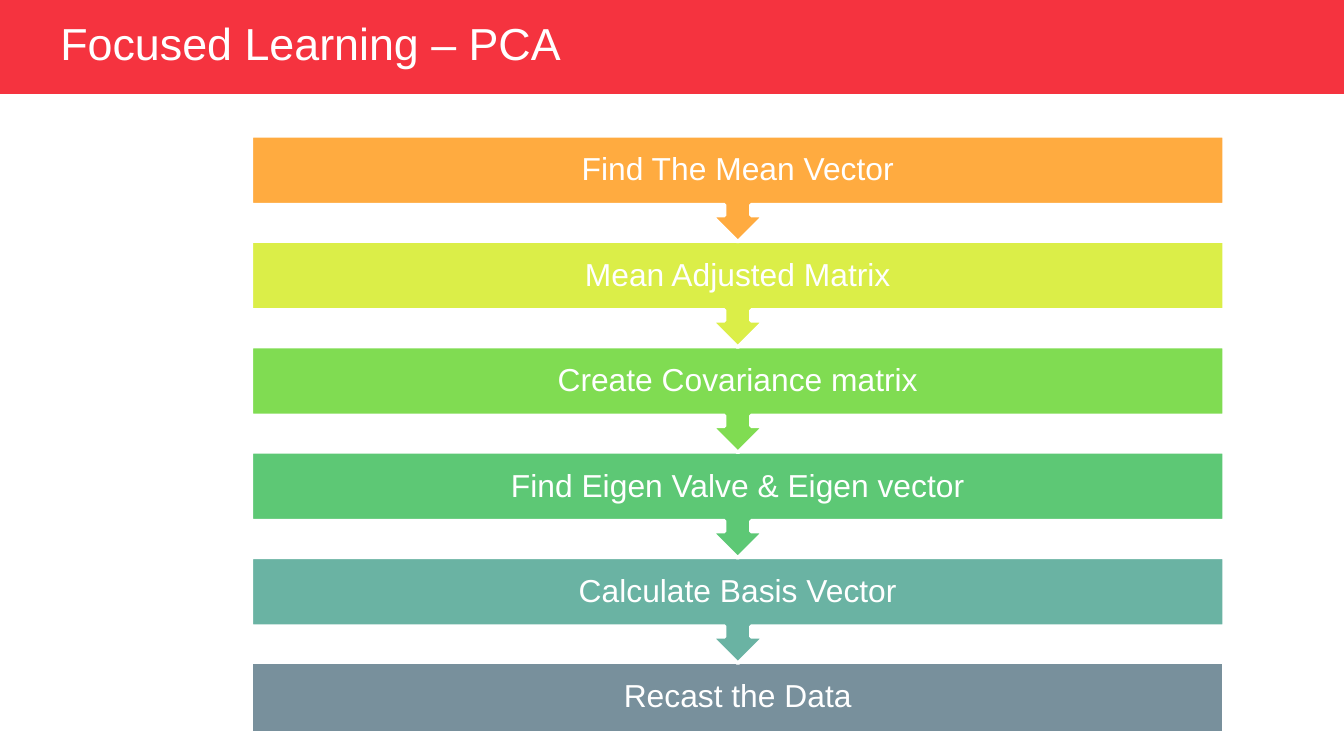
from pptx import Presentation
from pptx.dml.color import RGBColor
from pptx.enum import shapes, text
from pptx.util import Inches, Pt

WHITE = RGBColor(0xFF, 0xFF, 0xFF)
RED = RGBColor(0xF5, 0x33, 0x3F)
ORANGE = RGBColor(0xFF, 0xAB, 0x40)
LIME = RGBColor(0xDB, 0xEE, 0x48)
LIGHT_GREEN = RGBColor(0x80, 0xDC, 0x52)
GREEN = RGBColor(0x5D, 0xC8, 0x75)
TEAL = RGBColor(0x6A, 0xB3, 0xA3)
SLATE = RGBColor(0x78, 0x90, 0x9C)

# Content
TITLE = "Focused Learning – PCA"
STEPS = [
    ("Find The Mean Vector", ORANGE),
    ("Mean Adjusted Matrix", LIME),
    ("Create Covariance matrix", LIGHT_GREEN),
    ("Find Eigen Valve & Eigen vector", GREEN),
    ("Calculate Basis Vector", TEAL),
    ("Recast the Data", SLATE),
]

# Layout in inches: a 16:9 slide with one column of equally spaced steps
WIDTH = 10
HEIGHT = WIDTH * 9 / 16
HEADER_H = WIDTH * 0.07
STEP_X, STEP_W = 1.87, 7.24
FIRST_Y, LAST_Y = 1.01, 4.93
PITCH = (LAST_Y - FIRST_Y) / (len(STEPS) - 1)
BAR_H, CALLOUT_H = 0.52, 0.79

prs = Presentation()
prs.slide_width, prs.slide_height = Inches(WIDTH), Inches(HEIGHT)
slide = prs.slides.add_slide(prs.slide_layouts[6])


def add_block(kind, box, fill, outline=None):
    block = slide.shapes.add_shape(kind, *map(Inches, box))
    block.shadow.inherit = False
    block.fill.solid()
    block.fill.fore_color.rgb = fill
    if outline is None:
        block.line.fill.background()
    else:
        block.line.color.rgb = outline
        block.line.width = Pt(2)
    return block


def add_text(words, box, size, align, inset_x, inset_y):
    label = slide.shapes.add_textbox(*map(Inches, box))
    frame = label.text_frame
    frame.word_wrap = True
    frame.vertical_anchor = text.MSO_ANCHOR.MIDDLE
    frame.margin_left = frame.margin_right = Inches(inset_x)
    frame.margin_top = frame.margin_bottom = Inches(inset_y)
    line = frame.paragraphs[0]
    line.alignment = align
    line.line_spacing = 0.9
    run = line.add_run()
    run.text = words
    run.font.name = "Arial"
    run.font.size = Pt(size)
    run.font.color.rgb = WHITE


# Header band and title
add_block(shapes.MSO_SHAPE.RECTANGLE, (0, 0, WIDTH, HEADER_H), RED)
add_text(TITLE, (0.35, 0.13, 6.22, 0.42), size=24,
         align=text.PP_ALIGN.LEFT, inset_x=0.1, inset_y=0.05)

# Steps, last one at the back so each arrow lies over the next bar
last = len(STEPS) - 1
for row, (step, color) in reversed(list(enumerate(STEPS))):
    top = FIRST_Y + row * PITCH
    if row == last:
        add_block(shapes.MSO_SHAPE.RECTANGLE,
                  (STEP_X, top, STEP_W, BAR_H), color, outline=WHITE)
    else:
        callout = add_block(shapes.MSO_SHAPE.UP_ARROW_CALLOUT,
                            (STEP_X, top, STEP_W, CALLOUT_H), color, outline=WHITE)
        callout.rotation = 180
    add_text(step, (STEP_X, top, STEP_W, BAR_H), size=17,
             align=text.PP_ALIGN.CENTER, inset_x=0.13, inset_y=0.13)

prs.save("out.pptx")
